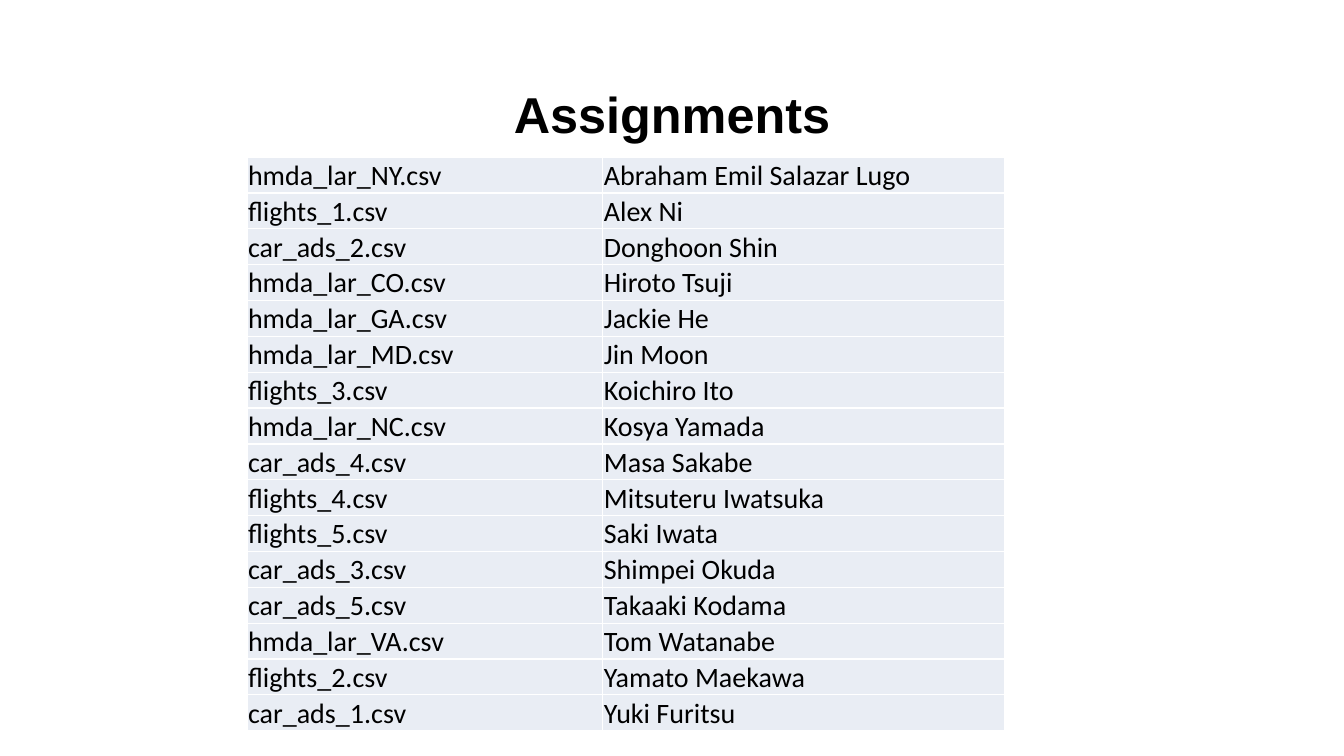
import pptx
import pptx.util
import pptx.dml.color
import pptx.enum.text
import pptx.oxml.ns
from lxml import etree

Inches, Pt = pptx.util.Inches, pptx.util.Pt
RGBColor = pptx.dml.color.RGBColor
ANCHOR = pptx.enum.text.MSO_ANCHOR
ALIGN = pptx.enum.text.PP_ALIGN
qn = pptx.oxml.ns.qn

BLACK = RGBColor(0x00, 0x00, 0x00)
WHITE = RGBColor(0xFF, 0xFF, 0xFF)
PALE_BLUE = RGBColor(0xE9, 0xED, 0xF4)

TITLE_FORMAT = {"name": "Arial", "size": Pt(36), "bold": True}
CELL_FORMAT = {"name": "Calibri", "size": Pt(20), "bold": False}
CELL_LAYOUT = {
    "vertical_anchor": ANCHOR.BOTTOM,
    "margin_left": Inches(0.01),
    "margin_right": Inches(0.01),
    "margin_top": Inches(0.01),
    "margin_bottom": 0,
}

# Boxes as percentages of the slide: left, top, width, height
TITLE_BOX = (1.28, 6.67, 97.45, 16.67)
TABLE_BOX = (18.38, 20.8, 56.34, 75.87)
COLUMN_SHARES = (0.47, 0.53)

ASSIGNMENTS = [
    ("hmda_lar_NY.csv", "Abraham Emil Salazar Lugo"),
    ("flights_1.csv", "Alex Ni"),
    ("car_ads_2.csv", "Donghoon Shin"),
    ("hmda_lar_CO.csv", "Hiroto Tsuji"),
    ("hmda_lar_GA.csv", "Jackie He"),
    ("hmda_lar_MD.csv", "Jin Moon"),
    ("flights_3.csv", "Koichiro Ito"),
    ("hmda_lar_NC.csv", "Kosya Yamada"),
    ("car_ads_4.csv", "Masa Sakabe"),
    ("flights_4.csv", "Mitsuteru Iwatsuka"),
    ("flights_5.csv", "Saki Iwata"),
    ("car_ads_3.csv", "Shimpei Okuda"),
    ("car_ads_5.csv", "Takaaki Kodama"),
    ("hmda_lar_VA.csv", "Tom Watanabe"),
    ("flights_2.csv", "Yamato Maekawa"),
    ("car_ads_1.csv", "Yuki Furitsu"),
]


def apply_format(target, values):
    for name, value in values.items():
        setattr(target, name, value)


def place(deck, shares):
    """Turn percentages of the slide into lengths."""
    sizes = (deck.slide_width, deck.slide_height) * 2
    return [int(size * share / 100) for size, share in zip(sizes, shares)]


def write(para, text, values):
    span = para.add_run()
    span.text = text
    apply_format(span.font, values)
    span.font.color.rgb = BLACK


def add_borders(cell, color, width):
    properties = cell._tc.get_or_add_tcPr()
    for side in ("lnL", "lnR", "lnT", "lnB"):
        line = etree.SubElement(properties, qn("a:" + side), w=str(width))
        fill = etree.SubElement(line, qn("a:solidFill"))
        etree.SubElement(fill, qn("a:srgbClr"), val=str(color))


def add_title(page, box, text):
    frame = page.shapes.add_textbox(*box).text_frame
    apply_format(frame, {"word_wrap": True, "vertical_anchor": ANCHOR.MIDDLE})
    para = frame.paragraphs[0]
    para.alignment = ALIGN.CENTER
    write(para, text, TITLE_FORMAT)


def add_assignment_table(page, box, records):
    table = page.shapes.add_table(len(records), len(COLUMN_SHARES), *box).table
    apply_format(table, {"first_row": False, "horz_banding": False})
    for column, share in zip(table.columns, COLUMN_SHARES):
        column.width = int(box[2] * share)
    for row, record in zip(table.rows, records):
        row.height = box[3] // len(records)
        for cell, text in zip(row.cells, record):
            apply_format(cell, CELL_LAYOUT)
            add_borders(cell, WHITE, Pt(1))
            cell.fill.solid()
            cell.fill.fore_color.rgb = PALE_BLUE
            write(cell.text_frame.paragraphs[0], text, CELL_FORMAT)


# Deck with one blank page
deck = pptx.Presentation()
apply_format(deck, {"slide_width": Inches(13.33), "slide_height": Inches(7.5)})
page = deck.slides.add_slide(deck.slide_layouts[6])
page.background.fill.solid()
page.background.fill.fore_color.rgb = WHITE

# Heading and list of files by person
add_title(page, place(deck, TITLE_BOX), "Assignments")
add_assignment_table(page, place(deck, TABLE_BOX), ASSIGNMENTS)

deck.save("out.pptx")
